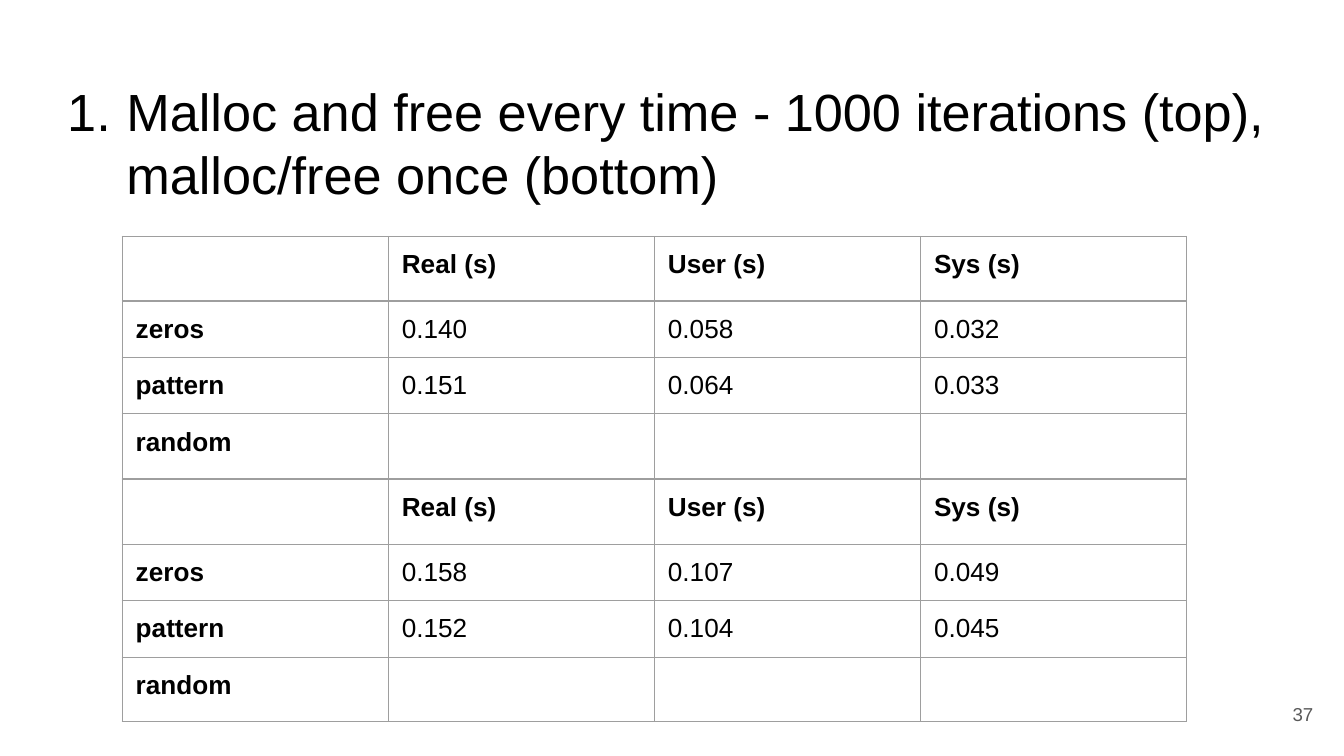
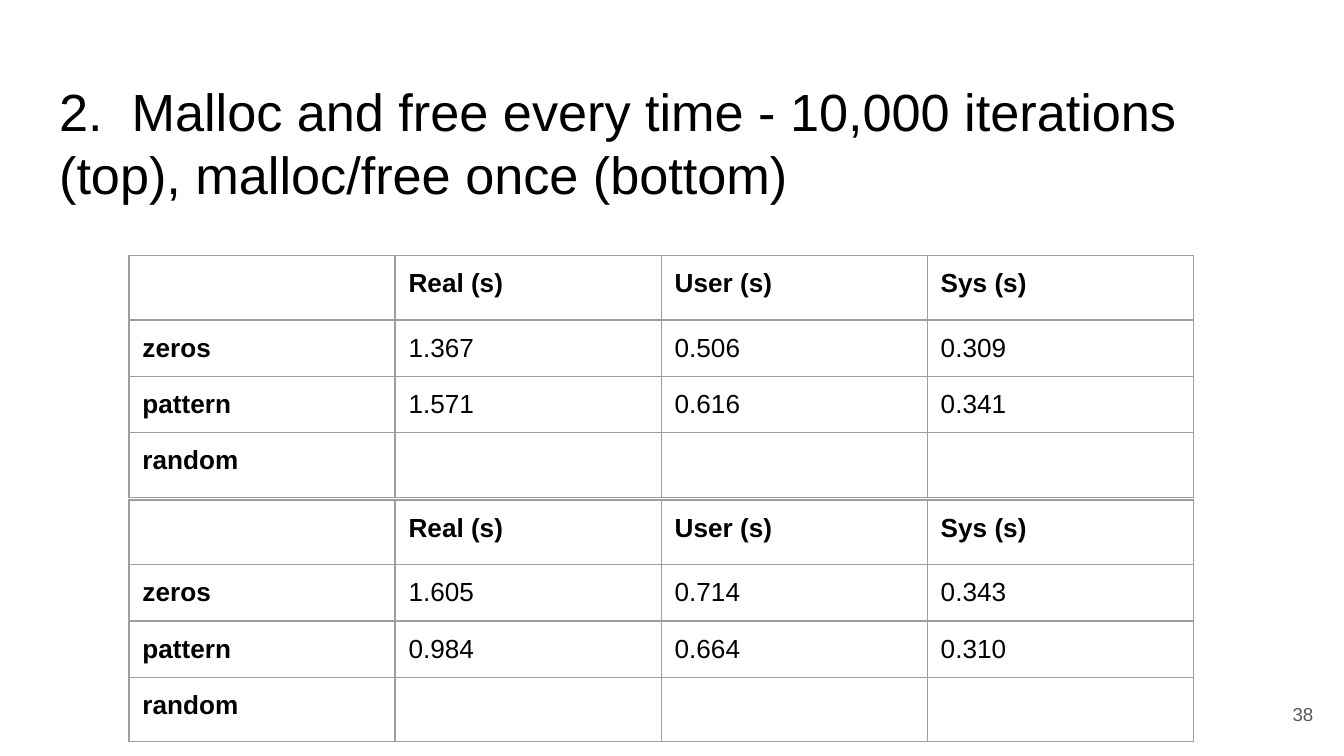
from dataclasses import dataclass

from pptx import Presentation
from pptx.dml.color import RGBColor as RGB
from pptx.enum.text import MSO_ANCHOR as ANCHOR, MSO_AUTO_SIZE as AUTO, PP_ALIGN as ALIGN
from pptx.oxml.ns import qn
from pptx.util import Inches, Pt
from lxml.etree import SubElement


@dataclass(frozen=True)
class Theme:
    """Shared font, colours, type sizes and measures."""
    font: str = "Arial"
    ink: str = "000000"
    muted: str = "595959"
    grid: str = "9E9E9E"
    paper: str = "FFFFFF"
    title: int = 28
    cell: int = 14
    empty: int = 18
    number: int = 10
    border: float = 0.75
    inset: float = 0.1
    col_w: float = 1.98
    row_h: float = 0.42


T = Theme()
HEADER = ["", "Real (s)", "User (s)", "Sys (s)"]
SLIDES = [
    dict(title="Malloc and free every time - 1000 iterations (top), malloc/free once (bottom)",
         numbered=True, number=37, left=0.91, tables=[
             (1.76, ["0.140", "0.058", "0.032"], ["0.151", "0.064", "0.033"]),
             (3.57, ["0.158", "0.107", "0.049"], ["0.152", "0.104", "0.045"])]),
    dict(title="2.  Malloc and free every time - 10,000 iterations (top), malloc/free once (bottom)",
         numbered=False, number=38, left=0.96, tables=[
             (1.9, ["1.367", "0.506", "0.309"], ["1.571", "0.616", "0.341"]),
             (3.72, ["1.605", "0.714", "0.343"], ["0.984", "0.664", "0.310"])]),
]


def write(p, text, size=T.cell, color=T.ink, bold=False, align=ALIGN.LEFT):
    """Write one formatted run into a paragraph."""
    p.alignment = align
    r = p.add_run()
    r.text = text
    r.font.name, r.font.size, r.font.bold = T.font, Pt(size), bold
    r.font.color.rgb = RGB.from_string(color)


def set_frame(tf, anchor):
    """Give a text frame the shared insets, wrapping and an anchor."""
    tf.word_wrap, tf.auto_size, tf.vertical_anchor = True, AUTO.NONE, anchor
    tf.margin_left = tf.margin_right = tf.margin_top = tf.margin_bottom = Inches(T.inset)


def number_paragraph(p):
    """Turn a paragraph into an automatically numbered item."""
    pPr = p._p.get_or_add_pPr()
    pPr.set("marL", str(Inches(0.5)))
    pPr.set("indent", str(Inches(-0.44)))
    SubElement(SubElement(pPr, qn("a:buClr")), qn("a:srgbClr"), val=T.ink)
    SubElement(pPr, qn("a:buFont"), typeface=T.font)
    SubElement(pPr, qn("a:buAutoNum"), type="arabicPeriod")


def add_title(s, text, numbered):
    """Fill and place the title placeholder."""
    sp = s.shapes.title
    sp.left, sp.top, sp.width, sp.height = map(Inches, (0.34, 0.49, 9.32, 0.63))
    set_frame(sp.text_frame, ANCHOR.TOP)
    p = sp.text_frame.paragraphs[0]
    if numbered:
        number_paragraph(p)
    write(p, text, size=T.title)


def add_number(s, number):
    """Add the slide number in the lower right corner."""
    sp = s.shapes.add_textbox(*map(Inches, (9.27, 5.1, 0.6, 0.43)))
    set_frame(sp.text_frame, ANCHOR.MIDDLE)
    write(sp.text_frame.paragraphs[0], str(number), size=T.number, color=T.muted, align=ALIGN.RIGHT)


def add_borders(cell):
    """Draw the four borders of a cell."""
    tcPr = cell._tc.get_or_add_tcPr()
    for side in ("lnL", "lnR", "lnT", "lnB"):
        ln = SubElement(tcPr, qn(f"a:{side}"), w=str(Pt(T.border)))
        SubElement(SubElement(ln, qn("a:solidFill")), qn("a:srgbClr"), val=T.grid)


def format_cell(cell, text, bold):
    """Write a cell with its insets, borders and fill."""
    cell.margin_left = cell.margin_right = cell.margin_top = cell.margin_bottom = Inches(T.inset)
    cell.vertical_anchor = ANCHOR.TOP
    add_borders(cell)
    cell.fill.background()
    p = cell.text_frame.paragraphs[0]
    if text:
        write(p, text, bold=bold)
    else:
        end = SubElement(p._p, qn("a:endParaRPr"), sz=str(T.empty * 100))
        SubElement(end, qn("a:latin"), typeface=T.font)


def add_timings(s, left, top, zeros, pattern):
    """Add a table of timings by fill method."""
    rows = [HEADER, ["zeros", *zeros], ["pattern", *pattern], ["random", "", "", ""]]
    n_rows, n_cols = len(rows), len(HEADER)
    table = s.shapes.add_table(n_rows, n_cols, Inches(left), Inches(top),
                               Inches(n_cols * T.col_w), Inches(n_rows * T.row_h)).table
    table.first_row = table.horz_banding = False
    for i, row in enumerate(rows):
        for j, text in enumerate(row):
            format_cell(table.cell(i, j), text, bold=i == 0 or j == 0)


def main():
    """Build and save the presentation."""
    prs = Presentation()
    prs.slide_width, prs.slide_height = Inches(10), Inches(10 * 9 / 16)
    fill = prs.slide_master.background.fill
    fill.solid()
    fill.fore_color.rgb = RGB.from_string(T.paper)
    for page in SLIDES:
        s = prs.slides.add_slide(prs.slide_layouts.get_by_name("Title Only"))
        add_title(s, page["title"], page["numbered"])
        add_number(s, page["number"])
        for top, zeros, pattern in page["tables"]:
            add_timings(s, page["left"], top, zeros, pattern)
    prs.save("out.pptx")


if __name__ == "__main__":
    main()
